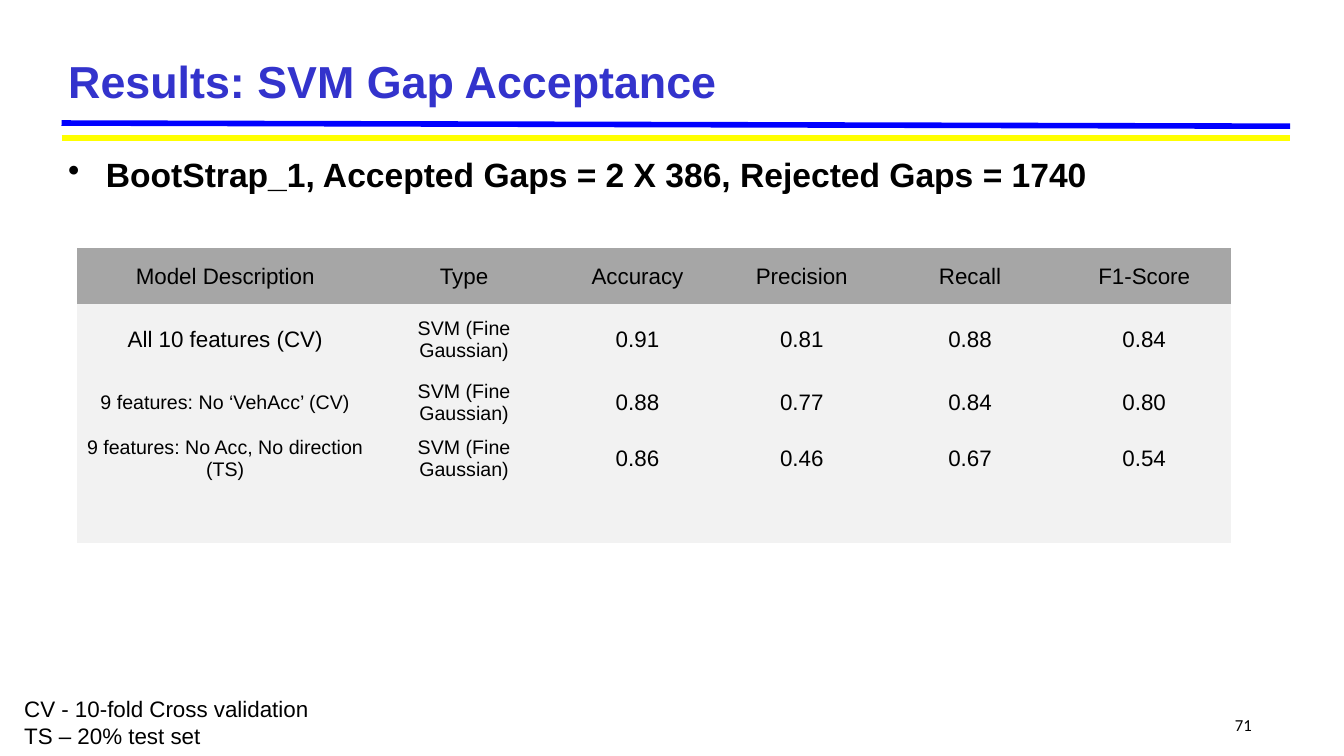
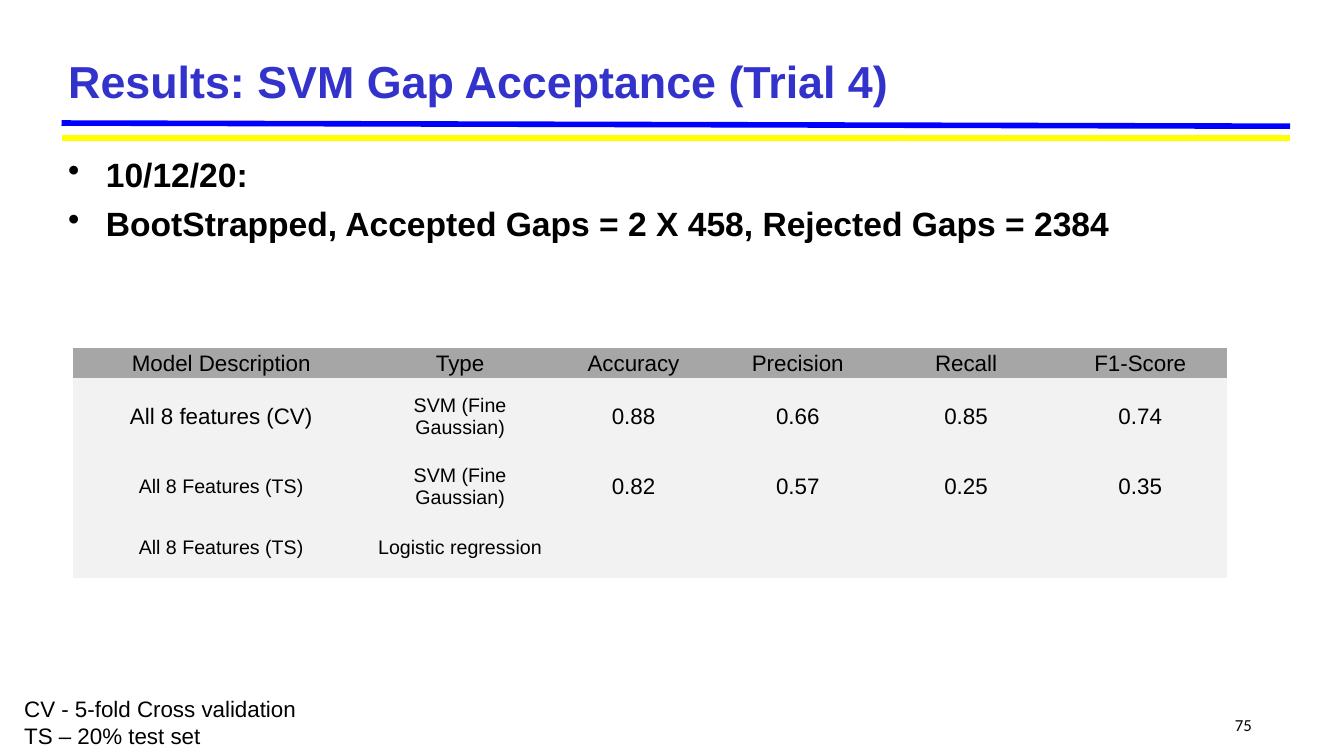
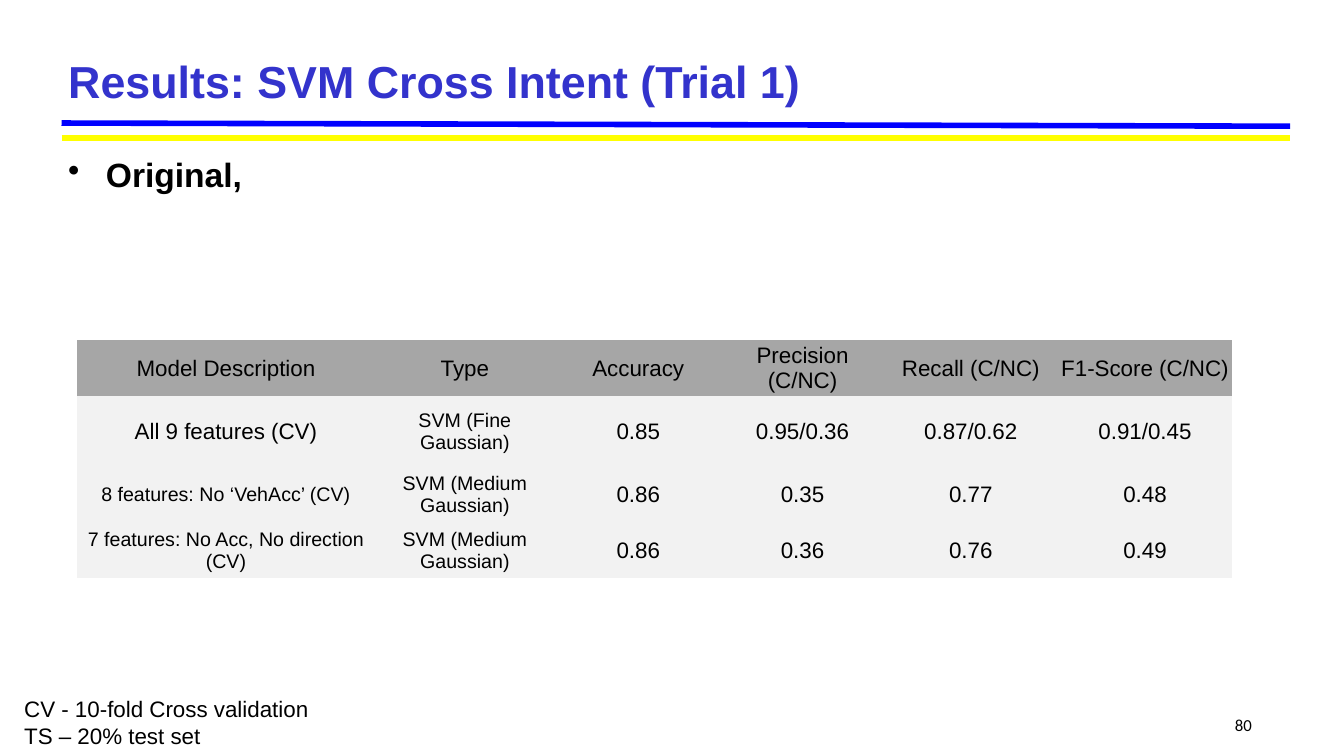
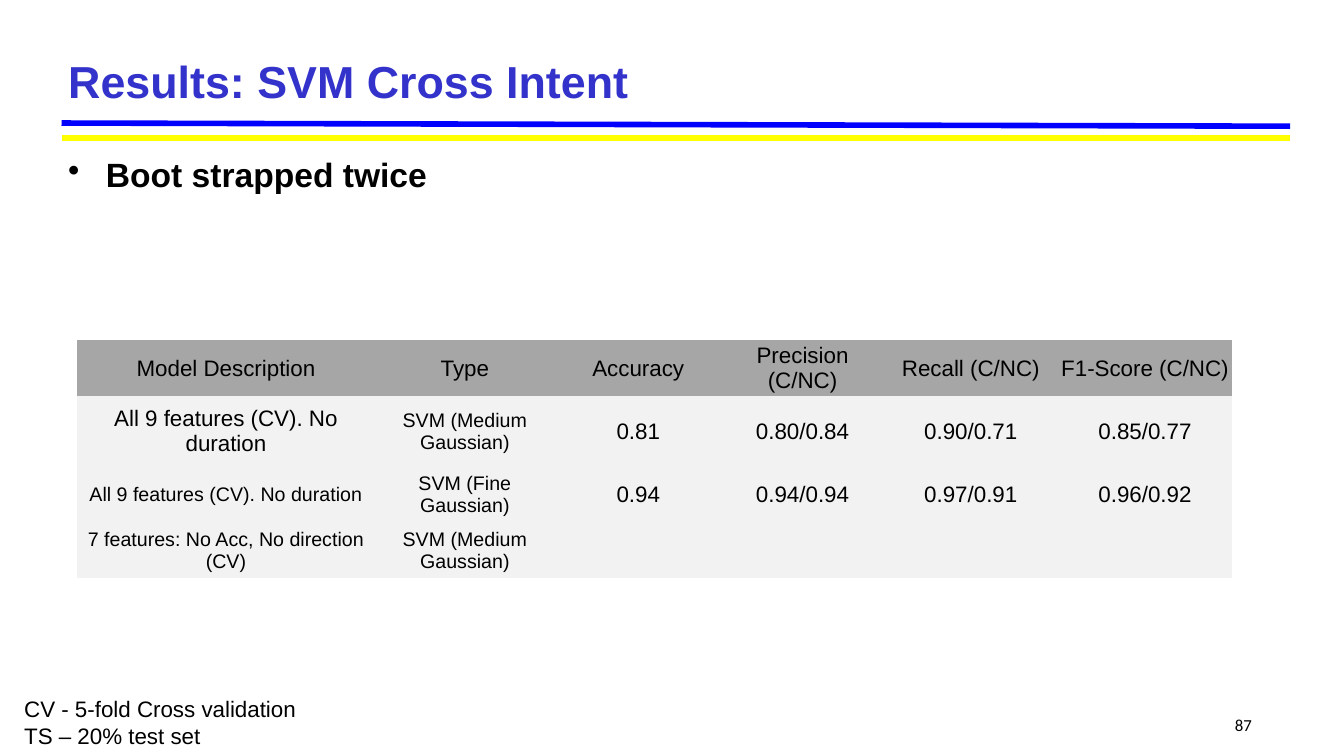
import itertools

import pptx
import pptx.dml.color
import pptx.enum.shapes
import pptx.enum.text
import pptx.oxml
import pptx.oxml.ns
import pptx.util

Cm = pptx.util.Cm
Pt = pptx.util.Pt
RGBColor = pptx.dml.color.RGBColor
ALIGN = pptx.enum.text.PP_ALIGN
ANCHOR = pptx.enum.text.MSO_ANCHOR

BLACK = RGBColor(0x00, 0x00, 0x00)
TITLE_BLUE = RGBColor(0x33, 0x33, 0xCC)
RULE_BLUE = RGBColor(0x00, 0x00, 0xFF)
RULE_YELLOW = RGBColor(0xFF, 0xFF, 0x00)
HEADER_GREY = RGBColor(0xA6, 0xA6, 0xA6)
BODY_GREY = RGBColor(0xF2, 0xF2, 0xF2)

PLAIN_TABLE_STYLE = "{2D5ABB26-0587-4C30-8999-92F81FD0307C}"
COLUMN_WIDTHS = (7.49, 4.55, 4.19, 4.09, 4.39, 4.39)
ROW_HEIGHTS = (1.42, 1.75, 1.42, 1.42)
TEST_SET_NOTE = "TS – 20% test set"
HEADER = ("Model Description", "Type", "Accuracy", "Precision", "Recall", "F1-Score")
CLASS_HEADER = HEADER[:3] + tuple(f"{name} (C/NC)" for name in HEADER[3:])
FINE = "SVM (Fine Gaussian)"
MEDIUM = "SVM (Medium Gaussian)"


class ResultsDeck:
    def __init__(self):
        self.deck = pptx.Presentation()
        self.deck.slide_width = Cm(33.87)
        self.deck.slide_height = Cm(19.05)
        self.page = None

    def add_page(self, title, number, bullets, folds):
        """Start a slide with everything but its table."""
        self.page = self.deck.slides.add_slide(self.deck.slide_layouts[6])
        self.rule(3.1, 3.18, RULE_BLUE)
        self.rule(3.48, 3.48, RULE_YELLOW)
        heading = self.text((1.47, 1.27, 31.04, 1.5), [title], 32, TITLE_BLUE, bold=True)
        heading.vertical_anchor = ANCHOR.MIDDLE
        page_number = self.text((30.73, 17.88, 1.07, 0.66), [str(number)], 12, font="Calibri")
        page_number.paragraphs[0].alignment = ALIGN.RIGHT
        self.bullets(bullets)
        note = self.text((0.36, 17.4, 16.94, 1.63),
                         [f"CV - {folds}-fold Cross validation", TEST_SET_NOTE], 16)
        note.auto_size = pptx.enum.text.MSO_AUTO_SIZE.SHAPE_TO_FIT_TEXT

    def rule(self, left_y, right_y, color):
        line = self.page.shapes.add_connector(
            pptx.enum.shapes.MSO_CONNECTOR.STRAIGHT,
            Cm(1.55), Cm(left_y), Cm(32.51), Cm(right_y))
        line.line.color.rgb = color
        line.line.width = Pt(4)
        properties = line.element.spPr
        properties.append(pptx.oxml.parse_xml(
            f"<a:effectLst {pptx.oxml.ns.nsdecls('a')}/>"))

    def style(self, para, size, color=BLACK, bold=False, font="Arial"):
        for span in para.runs:
            span.font.name = font
            span.font.size = Pt(size)
            span.font.bold = bold
            span.font.color.rgb = color

    def text(self, place, lines, size, color=BLACK, bold=False, font="Arial"):
        box = self.page.shapes.add_textbox(*(Cm(length) for length in place))
        frame = box.text_frame
        frame.word_wrap = True
        frame.text = "\n".join(lines)
        for para in frame.paragraphs:
            self.style(para, size, color, bold, font)
        return frame

    def bullets(self, lines):
        frame = self.text((1.47, 3.76, 31.17, 1.5), lines, 24, bold=True)
        for index, para in enumerate(frame.paragraphs):
            properties = para._p.get_or_add_pPr()
            properties.set("marL", str(Cm(0.95)))
            properties.set("indent", str(-Cm(0.95)))
            properties.append(pptx.oxml.parse_xml(
                f'<a:buChar {pptx.oxml.ns.nsdecls("a")} char="•"/>'))
            if index:
                para.space_before = Pt(6)

    def table(self, left, top, rows, heights=ROW_HEIGHTS):
        """Draw the score table; the first row is the header, short rows end in empty cells."""
        holder = self.page.shapes.add_table(
            len(rows), len(COLUMN_WIDTHS), Cm(left), Cm(top),
            Cm(sum(COLUMN_WIDTHS)), Cm(sum(heights)))
        holder.element.xpath(".//a:tableStyleId")[0].text = PLAIN_TABLE_STYLE
        table = holder.table
        table.first_row = table.horz_banding = False
        for column, width in zip(table.columns, COLUMN_WIDTHS):
            column.width = Cm(width)
        for row, height in zip(table.rows, heights):
            row.height = Cm(height)
        for r, c in itertools.product(range(len(rows)), range(len(COLUMN_WIDTHS))):
            label = rows[r][c] if c < len(rows[r]) else ""
            small = r > 0 and c < 2 and (r, c) != (1, 0)
            self.cell(table.cell(r, c), label, 14 if small else 16,
                      BODY_GREY if r else HEADER_GREY)

    def cell(self, cell, label, size, fill):
        cell.fill.solid()
        cell.fill.fore_color.rgb = fill
        cell.margin_left = cell.margin_right = cell.margin_top = Cm(0.03)
        cell.margin_bottom = 0
        cell.vertical_anchor = ANCHOR.MIDDLE
        cell.text_frame.text = label
        para = cell.text_frame.paragraphs[0]
        para.alignment = ALIGN.CENTER
        self.style(para, size)


def main():
    results = ResultsDeck()

    results.add_page("Results: SVM Gap Acceptance", 71,
                     ["BootStrap_1, Accepted Gaps = 2 X 386, Rejected Gaps = 1740"], 10)
    results.table(1.93, 6.25, [
        HEADER,
        ("All 10 features (CV)", FINE, "0.91", "0.81", "0.88", "0.84"),
        ("9 features: No ‘VehAcc’ (CV)", FINE, "0.88", "0.77", "0.84", "0.80"),
        ("9 features: No Acc, No direction (TS)", FINE, "0.86", "0.46", "0.67", "0.54"),
        (),
    ], ROW_HEIGHTS + (1.42,))

    results.add_page("Results: SVM Gap Acceptance (Trial 4)", 75,
                     ["10/12/20:",
                      "BootStrapped, Accepted Gaps = 2 X 458, Rejected Gaps = 2384"], 5)
    results.table(1.83, 8.76, [
        HEADER,
        ("All 8 features (CV)", FINE, "0.88", "0.66", "0.85", "0.74"),
        ("All 8 Features (TS)", FINE, "0.82", "0.57", "0.25", "0.35"),
        ("All 8 Features (TS)", "Logistic regression"),
    ], (0.76, 1.95, 1.55, 1.55))

    results.add_page("Results: SVM Cross Intent (Trial 1)", 80, ["Original,"], 10)
    results.table(1.95, 8.56, [
        CLASS_HEADER,
        ("All 9 features (CV)", FINE, "0.85", "0.95/0.36", "0.87/0.62", "0.91/0.45"),
        ("8 features: No ‘VehAcc’ (CV)", MEDIUM, "0.86", "0.35", "0.77", "0.48"),
        ("7 features: No Acc, No direction (CV)", MEDIUM, "0.86", "0.36", "0.76", "0.49"),
    ])

    results.add_page("Results: SVM Cross Intent", 87, ["Boot strapped twice"], 5)
    results.table(1.95, 8.56, [
        CLASS_HEADER,
        ("All 9 features (CV). No duration", MEDIUM,
         "0.81", "0.80/0.84", "0.90/0.71", "0.85/0.77"),
        ("All 9 features (CV). No duration", FINE,
         "0.94", "0.94/0.94", "0.97/0.91", "0.96/0.92"),
        ("7 features: No Acc, No direction (CV)", MEDIUM),
    ])

    results.deck.save("out.pptx")


if __name__ == "__main__":
    main()
